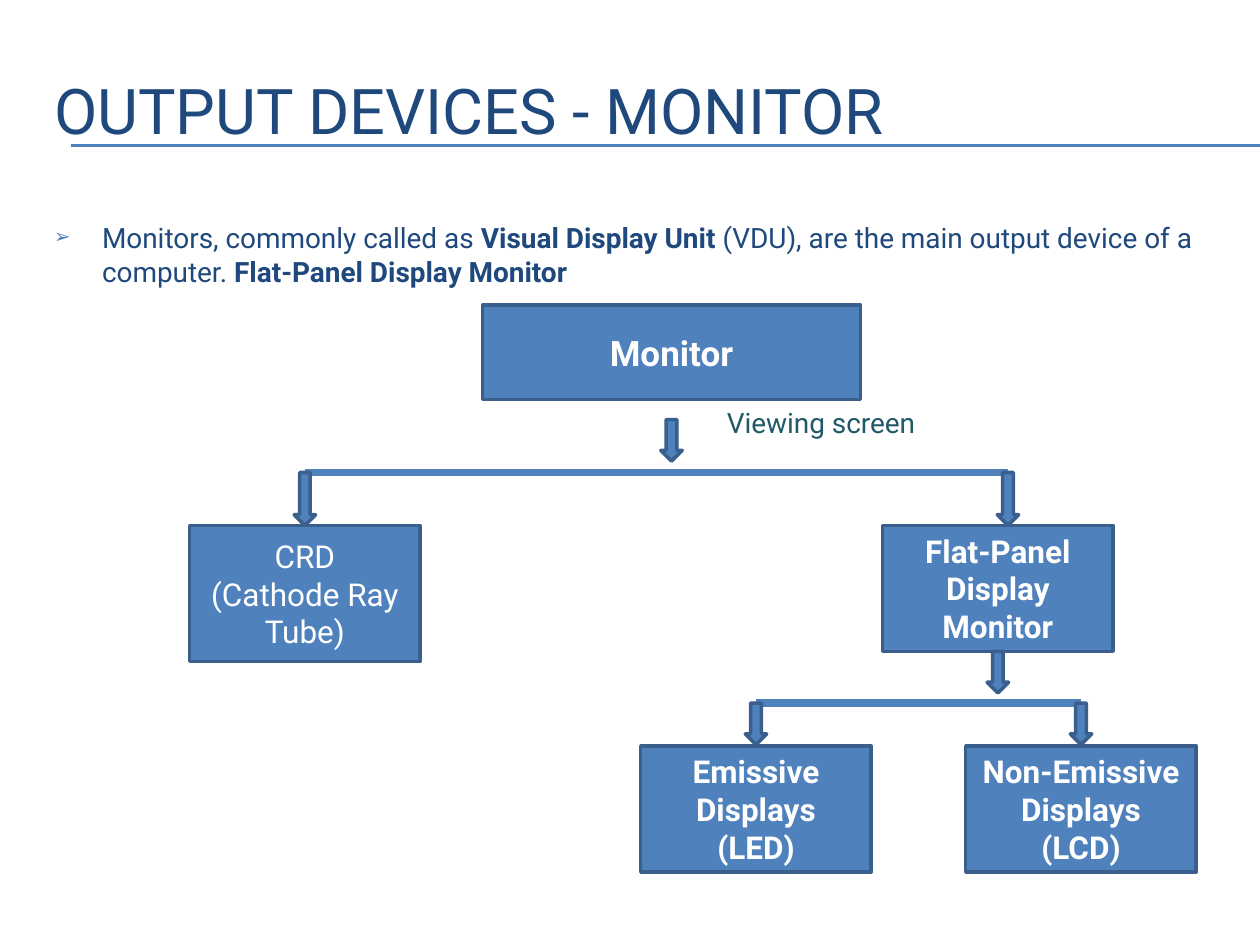
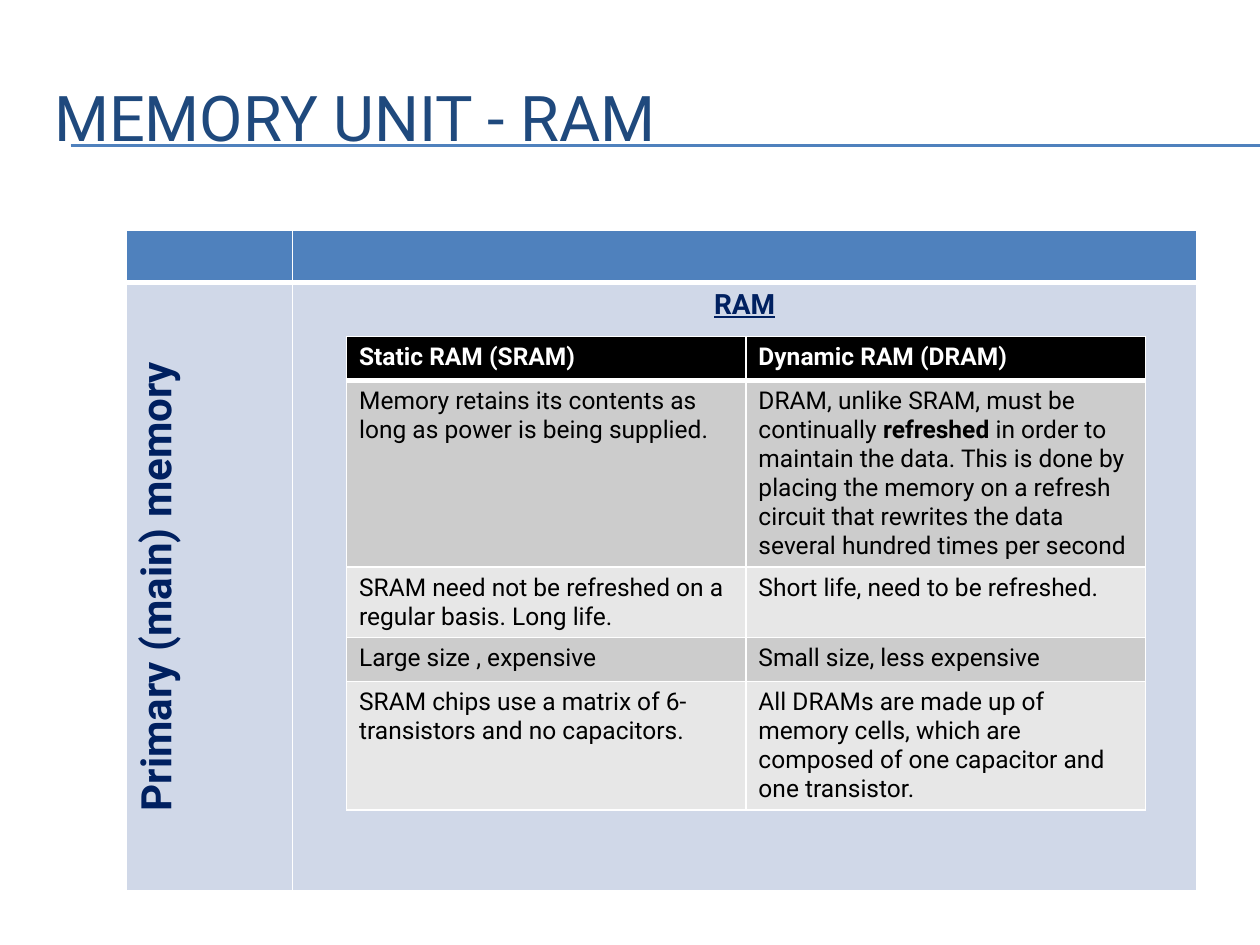
"""Builds two slides: a tree of monitor types and a comparison of RAM types."""
from pptx import Presentation
from pptx.dml.color import RGBColor
from pptx.enum.shapes import MSO_CONNECTOR as Connector, MSO_SHAPE as Shape
from pptx.enum.text import MSO_ANCHOR as Anchor, MSO_AUTO_SIZE as AutoSize, PP_ALIGN as Align
from pptx.oxml.ns import qn
from pptx.util import Inches, Pt
from lxml.etree import SubElement, Element

COLORS = {
    "accent": "4F81BD", "outline": "3A5F8C", "title": "1F497D", "white": "FFFFFF",
    "black": "000000", "teal": "215968", "navy": "002060", "pale": "D0D8E8",
    "dark_band": "CCCCCC", "light_band": "E7E7E7",
}
FONT = "Roboto"
BOX_WIDTH = 1.83
ARROW_WIDTH = 0.17


class Deck:
    """Holds the style and the current slide."""

    def __init__(self):
        self.presentation = Presentation()
        self.presentation.slide_width = Inches(10)
        self.presentation.slide_height = Inches(7.5)
        self.slide = None

    def color(self, name):
        return RGBColor.from_string(COLORS[name])

    def place(self, shape, left, top, width, height):
        for name, value in dict(left=left, top=top, width=width, height=height).items():
            setattr(shape, name, Inches(value))

    def start_slide(self, layout, title, top, height):
        self.slide = self.presentation.slides.add_slide(self.presentation.slide_layouts[layout])
        for y in (1.15, 1.16):
            self.line(0.56, 10, y, 0.75)
        shape = self.slide.shapes.title
        self.place(shape, 0.33, top, 9.5, height)
        shape.text_frame.auto_size = AutoSize.NONE
        self.set_text(shape.text_frame, [title], 36, "title", anchor=Anchor.MIDDLE)

    def set_text(self, frame, paragraphs, size, color, bold=False, underline=None,
                 align=Align.LEFT, anchor=None):
        if anchor is not None:
            frame.vertical_anchor = anchor
        for index, content in enumerate(paragraphs):
            paragraph = frame.add_paragraph() if index else frame.paragraphs[0]
            paragraph.alignment = align
            runs = [(content, bold)] if isinstance(content, str) else content
            for text, is_bold in runs:
                run = paragraph.add_run()
                run.text = text
                style = dict(name=FONT, size=Pt(size), bold=is_bold, underline=underline)
                for name, value in style.items():
                    setattr(run.font, name, value)
                run.font.color.rgb = self.color(color)

    def bullet(self, runs):
        body = self.slide.placeholders[1]
        self.place(body, 0.33, 1.7, 9.5, 4.95)
        body.text_frame.auto_size = AutoSize.NONE
        self.set_text(body.text_frame, [runs], 16, "title")
        properties = body.text_frame.paragraphs[0]._p.get_or_add_pPr()
        properties.set("marL", str(Inches(0.38)))
        properties.set("indent", str(Inches(-0.38)))
        bullet_color = SubElement(properties, qn("a:buClr"))
        SubElement(bullet_color, qn("a:srgbClr"), val=COLORS["accent"])
        SubElement(properties, qn("a:buSzPct"), val="70000")
        SubElement(properties, qn("a:buChar"), char="➢")

    def line(self, left, right, y, width):
        connector = self.slide.shapes.add_connector(
            Connector.STRAIGHT, Inches(left), Inches(y), Inches(right), Inches(y))
        connector.line.color.rgb = self.color("accent")
        connector.line.width = Pt(width)
        SubElement(connector._element.spPr, qn("a:effectLst"))

    def shape(self, kind, center, top, width, height):
        shape = self.slide.shapes.add_shape(
            kind, Inches(center - width / 2), Inches(top), Inches(width), Inches(height))
        shape.shadow.inherit = False
        shape.fill.solid()
        shape.fill.fore_color.rgb = self.color("accent")
        shape.line.color.rgb = self.color("outline")
        shape.line.width = Pt(2)
        return shape

    def box(self, paragraphs, center, top, width=BOX_WIDTH, height=1, size=18, bold=True):
        box = self.shape(Shape.RECTANGLE, center, top, width, height)
        self.set_text(box.text_frame, paragraphs, size, "white", bold,
                      align=Align.CENTER, anchor=Anchor.MIDDLE)

    def arrow(self, center, top, height):
        self.shape(Shape.DOWN_ARROW, center, top, ARROW_WIDTH, height)

    def branch(self, left, right, y, drop):
        self.line(left, right, y, 4.5)
        for center in (left, right):
            self.arrow(center, y, drop)

    def label(self, text, left, top, width, height):
        label = self.slide.shapes.add_textbox(
            Inches(left), Inches(top), Inches(width), Inches(height))
        label.text_frame.word_wrap = True
        self.set_text(label.text_frame, [text], 16, "teal")

    def table(self, left, top, columns, rows):
        table = self.slide.shapes.add_table(
            len(rows), len(columns), Inches(left), Inches(top),
            Inches(sum(columns)), Inches(sum(rows))).table
        table.horz_banding = False
        for column, width in zip(table.columns, columns):
            column.width = Inches(width)
        for row, height in zip(table.rows, rows):
            row.height = Inches(height)
        return table

    def fill_cell(self, table, row, column, fill):
        cell = table.cell(row, column)
        cell.fill.solid()
        cell.fill.fore_color.rgb = self.color(fill)
        properties = cell._tc.get_or_add_tcPr()
        heavy_side = {0: "B", 1: "T"}.get(row)
        for index, side in enumerate("LRTB"):
            width = Pt(3 if side == heavy_side else 1)
            border = Element(qn(f"a:ln{side}"), w=str(width))
            solid = SubElement(border, qn("a:solidFill"))
            SubElement(solid, qn("a:srgbClr"), val=COLORS["white"])
            properties.insert(index, border)
        return cell


def build_monitor_slide(deck):
    deck.start_slide(1, "OUTPUT DEVICES - MONITOR", 0.33, 1.08)
    deck.bullet([
        ("Monitors, commonly called as ", False),
        ("Visual Display Unit", True),
        (" (VDU), are the main output device of a computer.", False),
        (" Flat-Panel Display Monitor", True),
    ])
    deck.box(["Monitor"], 5.33, 2.42, width=3, height=0.75, size=20)
    deck.arrow(5.33, 3.33, 0.33)
    deck.label("Viewing screen", 5.67, 3.17, 2.83, 0.37)
    deck.branch(2.42, 8, 3.75, 0.42)
    deck.box(["CRD", "(Cathode Ray Tube)"], 2.42, 4.17, height=1.08, bold=False)
    deck.box(["Flat-Panel Display Monitor"], 7.92, 4.17)
    deck.arrow(7.92, 5.17, 0.33)
    deck.branch(6, 8.58, 5.58, 0.33)
    deck.box(["Emissive Displays", "(LED)"], 6, 5.92)
    deck.box(["Non-Emissive Displays", "(LCD)"], 8.58, 5.92)


def build_memory_slide(deck):
    deck.start_slide(5, "MEMORY UNIT - RAM", 0.42, 1)
    memory = deck.table(1, 1.83, [1.32, 7.18], [0.41, 4.83])
    for column in range(2):
        deck.fill_cell(memory, 0, column, "accent")
    side = deck.fill_cell(memory, 1, 0, "pale")
    side._tc.get_or_add_tcPr().set("vert", "vert270")
    side.vertical_anchor = Anchor.MIDDLE
    deck.set_text(side.text_frame, ["Primary (main) memory"], 24, "navy", True,
                  align=Align.CENTER)
    heading = deck.fill_cell(memory, 1, 1, "pale")
    deck.set_text(heading.text_frame, ["RAM"], 16, "navy", True, True, Align.CENTER)

    comparison = [
        ("Static RAM (SRAM)", "Dynamic RAM (DRAM)"),
        ("Memory retains its contents as long as power is being supplied.",
         [("DRAM, unlike SRAM, must be continually ", False), ("refreshed", True),
          (" in order to maintain the data. This is done by placing the memory on a refresh "
           "circuit that rewrites the data several hundred times per second", False)]),
        ("SRAM need not be refreshed on a regular basis. Long life.",
         "Short life, need to be refreshed."),
        ("Large size , expensive", "Small size, less expensive"),
        ("SRAM chips use a matrix of 6-transistors and no capacitors.",
         "All DRAMs are made up of memory cells, which are composed of one capacitor "
         "and one transistor."),
    ]
    table = deck.table(2.75, 2.67, [3.17, 3.17], [0.35, 1.48, 0.56, 0.35, 1.02])
    for row, contents in enumerate(comparison):
        header = row == 0
        fill = "black" if header else "dark_band" if row % 2 else "light_band"
        for column, content in enumerate(contents):
            cell = deck.fill_cell(table, row, column, fill)
            deck.set_text(cell.text_frame, [content], 14, "white" if header else "black", header)


def main():
    deck = Deck()
    build_monitor_slide(deck)
    build_memory_slide(deck)
    deck.presentation.save("out.pptx")


if __name__ == "__main__":
    main()
